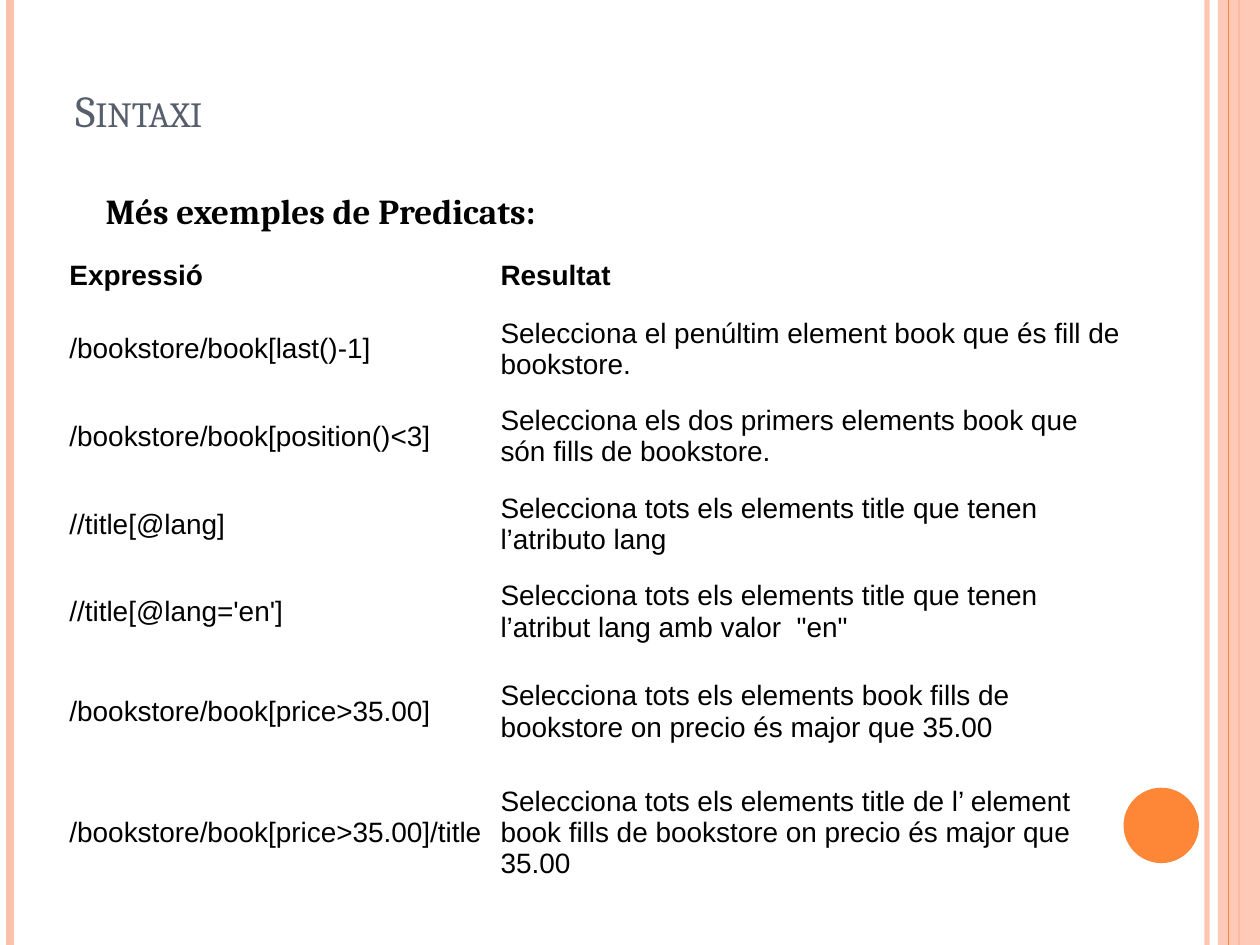
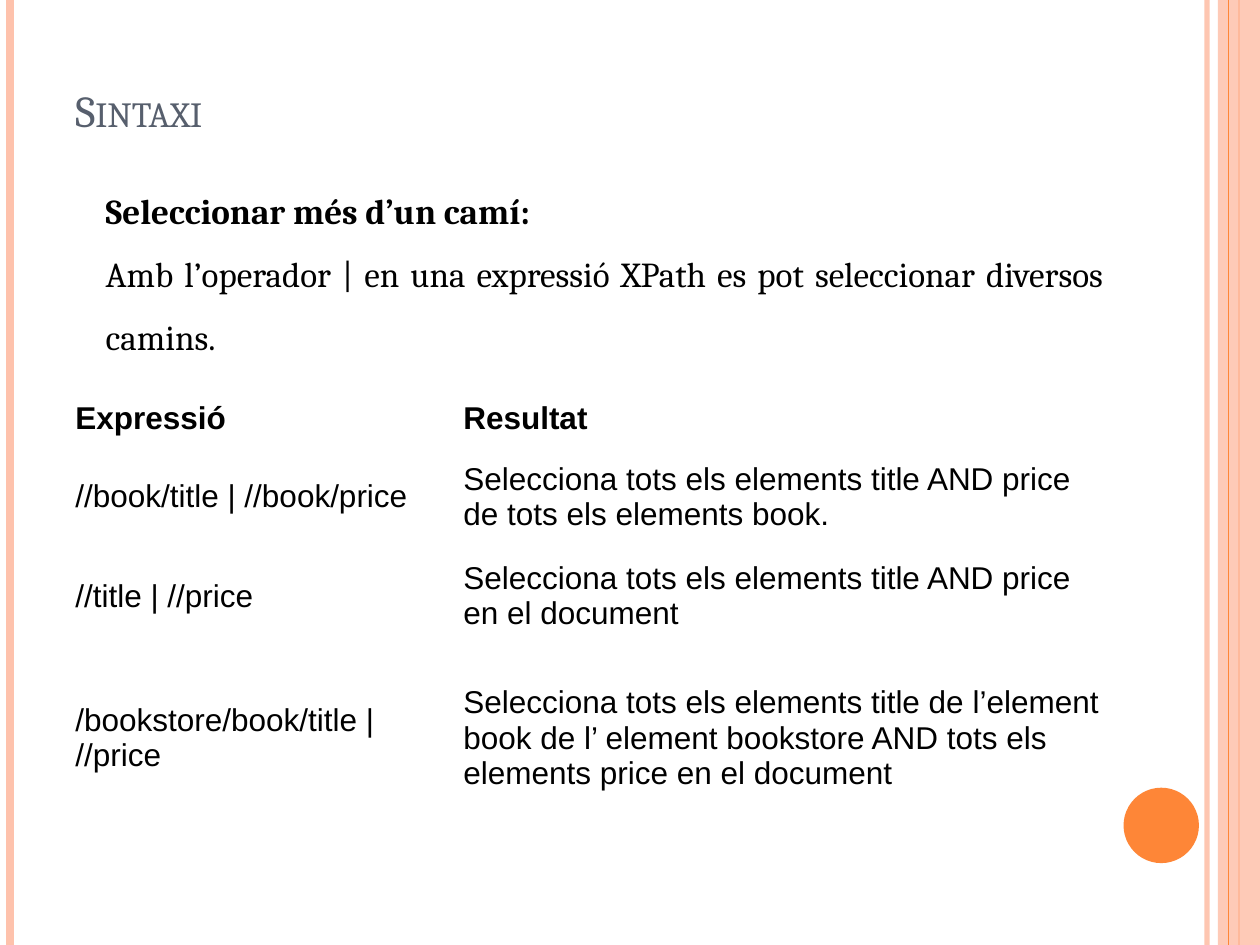
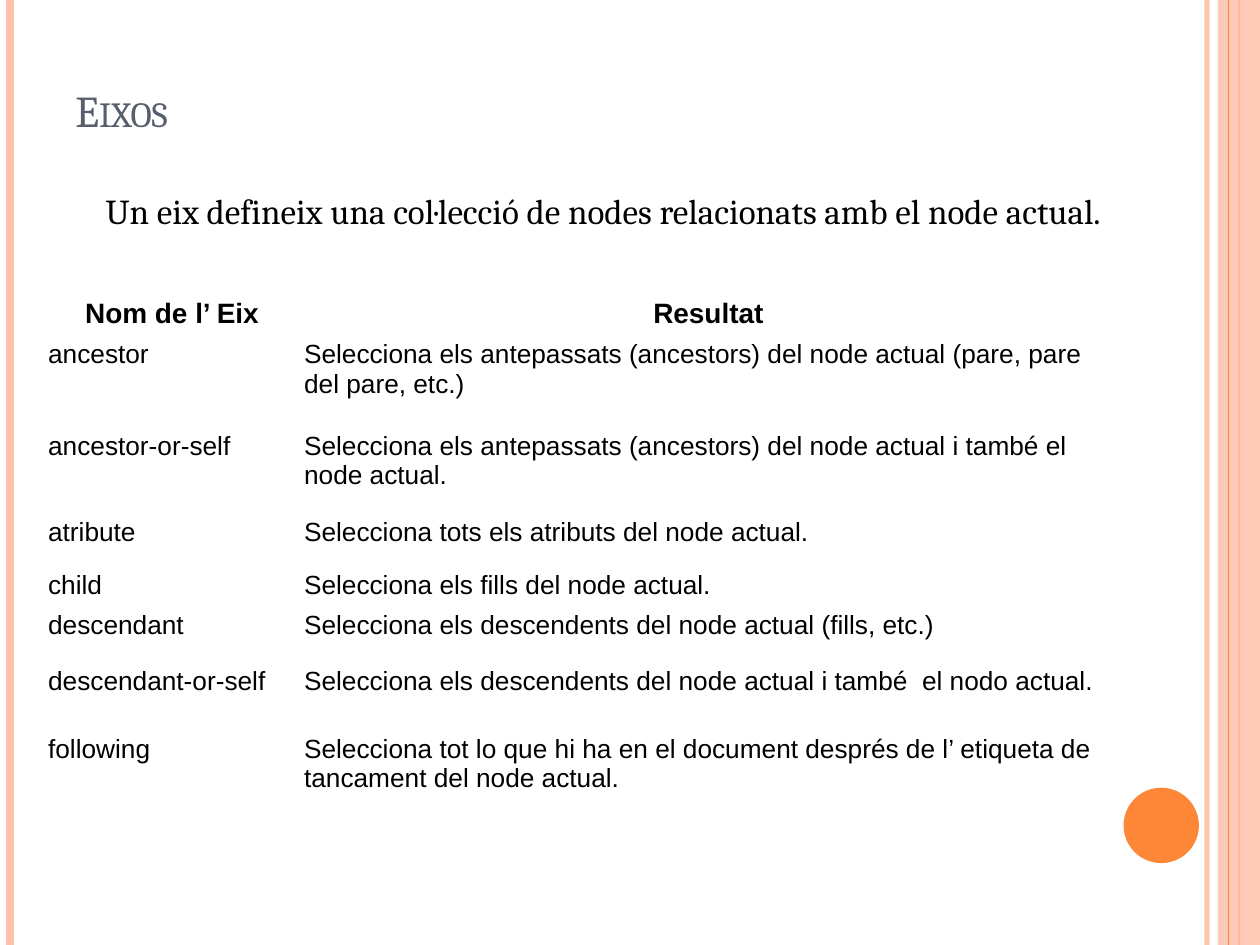
import dataclasses

import lxml.etree
import pptx
import pptx.dml.color
import pptx.enum.shapes
import pptx.enum.text
import pptx.oxml.ns
import pptx.util

Cm = pptx.util.Cm
Pt = pptx.util.Pt
qn = pptx.oxml.ns.qn
ALIGN = pptx.enum.text.PP_ALIGN
ANCHOR = pptx.enum.text.MSO_ANCHOR
NO_STYLE_NO_GRID = "{2D5ABB26-0587-4C30-8999-92F81FD0307C}"


@dataclasses.dataclass(frozen=True)
class Theme:
    serif: str = "Cambria"
    sans: str = "Arial"
    peach: str = "FEC2AC"
    orange: str = "FE8637"
    slate: str = "575F6D"
    black: str = "000000"
    title_size: float = 25.2
    body_size: float = 20


theme = Theme()

SLIDES = [
    {
        "title": "Sintaxi",
        "body_height": 2.39,
        "body": [("Més exemples de Predicats:", True)],
        "table_at": (1.27, 4.93),
        "columns": (8.69, 12.85),
        "rows": (1.27, 1.68, 1.85, 1.68, 1.85, 2.18, 2.69),
        "margins": (0.13, 0.05),
        "anchor": ANCHOR.MIDDLE,
        "header_align": ALIGN.LEFT,
        "sizes": (16, 16),
        "cells": [
            ("Expressió", "Resultat"),
            ("/bookstore/book[last()-1]",
             "Selecciona el penúltim element book que és fill de bookstore."),
            ("/bookstore/book[position()<3]",
             "Selecciona els dos primers elements book que són fills de bookstore."),
            ("//title[@lang]",
             "Selecciona tots els elements title que tenen l’atributo lang"),
            ("//title[@lang='en']",
             'Selecciona tots els elements title que tenen l’atribut lang amb valor  "en"'),
            ("/bookstore/book[price>35.00]",
             "Selecciona tots els elements book fills de bookstore on precio és major que 35.00"),
            ("/bookstore/book[price>35.00]/title",
             "Selecciona tots els elements title de l’ element book fills de bookstore "
             "on precio és major que 35.00"),
        ],
    },
    {
        "title": "Sintaxi",
        "body_height": 4.95,
        "body": [
            ("Seleccionar més d’un camí:", True),
            ("Amb l’operador | en una expressió XPath es pot seleccionar diversos camins.", False),
        ],
        "table_at": (1.27, 7.87),
        "columns": (7.82, 13.41),
        "rows": (1.14, 2.01, 2.01, 3.71),
        "margins": (0.25, 0.13),
        "anchor": ANCHOR.MIDDLE,
        "header_align": ALIGN.LEFT,
        "sizes": (18, 18),
        "cells": [
            ("Expressió", "Resultat"),
            ("//book/title | //book/price",
             "Selecciona tots els elements title AND price de tots els elements book."),
            ("//title | //price",
             "Selecciona tots els elements title AND price en el document"),
            ("/bookstore/book/title | //price",
             "Selecciona tots els elements title de l’element book de l’ element bookstore "
             "AND tots els elements price en el document"),
        ],
    },
    {
        "title": "Eixos",
        "body_height": 2.64,
        "body": [("Un eix defineix una col·lecció de nodes relacionats amb el node actual.", False)],
        "table_at": (0.89, 5.94),
        "columns": (5.16, 16.46),
        "rows": (0.74, 1.85, 1.73, 1.07, 0.74, 1.14, 1.37, 1.85),
        "margins": (0.08, 0.08),
        "anchor": ANCHOR.TOP,
        "header_align": ALIGN.CENTER,
        "sizes": (16, 15),
        "cells": [
            ("Nom de l’ Eix", "Resultat"),
            ("ancestor",
             "Selecciona els antepassats (ancestors) del node actual (pare, pare del pare, etc.)"),
            ("ancestor-or-self",
             "Selecciona els antepassats (ancestors) del node actual i també el node actual."),
            ("atribute", "Selecciona tots els atributs del node actual."),
            ("child", "Selecciona els fills del node actual."),
            ("descendant", "Selecciona els descendents del node actual (fills, etc.)"),
            ("descendant-or-self",
             "Selecciona els descendents del node actual i també  el nodo actual."),
            ("following",
             "Selecciona tot lo que hi ha en el document després de l’ etiqueta de "
             "tancament del node actual."),
        ],
    },
]


def add_run(paragraph, text, font_name, size, color, bold=False):
    run = paragraph.add_run()
    run.text = text
    run.font.name = font_name
    run.font.size = Pt(size)
    run.font.bold = bold
    run.font.color.rgb = pptx.dml.color.RGBColor.from_string(color)
    return run


def paint(fill, color, opacity=100):
    """Fill with a solid colour; opacity is a percentage."""
    fill.solid()
    fill.fore_color.rgb = pptx.dml.color.RGBColor.from_string(color)
    if opacity < 100:
        # The fill may belong to a line or a shape, so find its colour by parent.
        color_element = fill._xPr.find(qn("a:solidFill")).find(qn("a:srgbClr"))
        lxml.etree.SubElement(color_element, qn("a:alpha"), val=str(opacity * 1000))


presentation = pptx.Presentation()
presentation.slide_width = Cm(25.4)
presentation.slide_height = Cm(19.05)
layout = presentation.slide_layouts[6]
slides = [presentation.slides.add_slide(layout) for content in SLIDES]

# Shared bands: drawn from back to front, then moved to the layout.
decorations = []
for kind, left, top, width, height, color, weight, opacity in [
    ("line", 24.33, 0, 0, 19.05, theme.peach, 3, 93),
    ("line", 0.21, 0, 0, 19.05, theme.peach, 4.5, 100),
    ("line", 24.98, 0, 0, 19.05, theme.orange, 1.5, 100),
    ("RECTANGLE", 24.55, 0, 0.85, 19.05, theme.peach, 0, 86),
    ("line", 24.77, 0, 0, 19.05, theme.orange, 0.75, 100),
    ("OVAL", 22.65, 15.88, 1.52, 1.52, theme.orange, 0, 100),
]:
    if kind == "line":
        shape = slides[0].shapes.add_connector(
            pptx.enum.shapes.MSO_CONNECTOR.STRAIGHT,
            Cm(left), Cm(top), Cm(left + width), Cm(top + height))
        shape.line.width = Pt(weight)
        paint(shape.line.fill, color, opacity)
        lxml.etree.SubElement(shape.element.spPr, qn("a:effectLst"))
    else:
        shape = slides[0].shapes.add_shape(
            pptx.enum.shapes.MSO_SHAPE[kind], Cm(left), Cm(top), Cm(width), Cm(height))
        shape.shadow.inherit = False
        shape.line.fill.background()
        paint(shape.fill, color, opacity)
    decorations.append(shape)
for shape in decorations:
    layout.shapes.element.append(shape.element)

for slide, content in zip(slides, SLIDES):
    title = slide.shapes.add_textbox(Cm(1.27), Cm(0.76), Cm(20.75), Cm(3.18))
    title.text_frame.word_wrap = True
    title.text_frame.vertical_anchor = ANCHOR.BOTTOM
    title.text_frame.margin_bottom = Cm(1.2)
    run = add_run(title.text_frame.paragraphs[0], content["title"],
                  theme.serif, theme.title_size, theme.slate)
    run.font._element.set("cap", "small")

    body = slide.shapes.add_textbox(Cm(1.88), Cm(3.28), Cm(20.62), Cm(content["body_height"]))
    body.text_frame.word_wrap = True
    for index, (text, bold) in enumerate(content["body"]):
        paragraph = body.text_frame.add_paragraph() if index else body.text_frame.paragraphs[0]
        paragraph.alignment = ALIGN.JUSTIFY
        paragraph.line_spacing = 1.5
        add_run(paragraph, text, theme.serif, theme.body_size, theme.black, bold)

    left, top = content["table_at"]
    frame = slide.shapes.add_table(
        len(content["rows"]), len(content["columns"]), Cm(left), Cm(top),
        Cm(sum(content["columns"])), Cm(sum(content["rows"])))
    table = frame.table
    table.first_row = table.horz_banding = False
    next(frame.element.iter(qn("a:tableStyleId"))).text = NO_STYLE_NO_GRID
    for column, width in zip(table.columns, content["columns"]):
        column.width = Cm(width)
    for row, height in zip(table.rows, content["rows"]):
        row.height = Cm(height)

    side_margin, edge_margin = content["margins"]
    header_size, cell_size = content["sizes"]
    for row_index, texts in enumerate(content["cells"]):
        is_header = row_index == 0
        for column_index, text in enumerate(texts):
            cell = table.cell(row_index, column_index)
            cell.fill.background()
            cell.vertical_anchor = content["anchor"]
            cell.margin_left = cell.margin_right = Cm(side_margin)
            cell.margin_top = cell.margin_bottom = Cm(edge_margin)
            paragraph = cell.text_frame.paragraphs[0]
            paragraph.alignment = content["header_align"] if is_header else ALIGN.LEFT
            add_run(paragraph, text, theme.sans, header_size if is_header else cell_size,
                    theme.black, is_header)

presentation.save("out.pptx")
